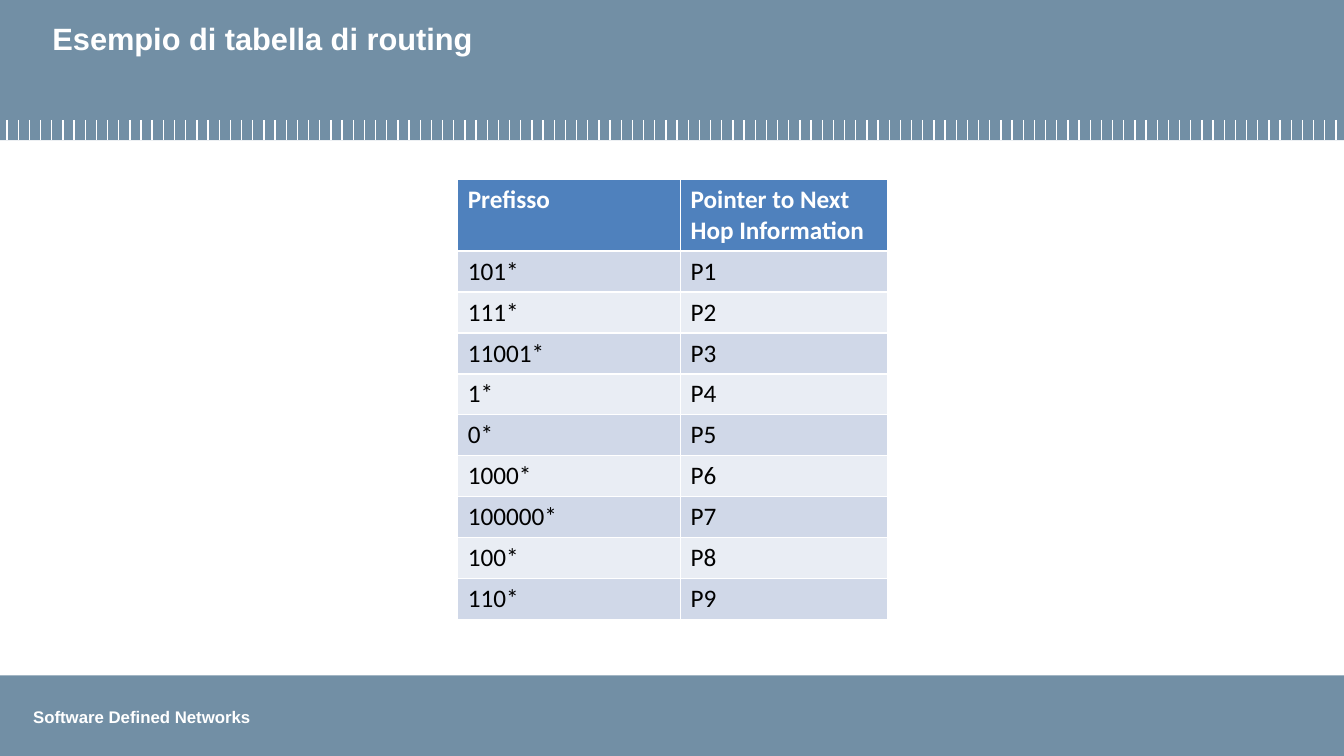
import pptx
import pptx.util
import pptx.dml.color
import pptx.enum.shapes
import pptx.enum.text
import pptx.oxml

Inches = pptx.util.Inches
RGBColor = pptx.dml.color.RGBColor

WHITE = RGBColor(0xFF, 0xFF, 0xFF)
BLACK = RGBColor(0x00, 0x00, 0x00)
SLATE = RGBColor(0x72, 0x8F, 0xA5)
BLUE = RGBColor(0x4F, 0x81, 0xBD)
DARK = RGBColor(0xD0, 0xD8, 0xE8)
LIGHT = RGBColor(0xE9, 0xED, 0xF4)


def write(frame, text, size=18, font="Calibri", color=WHITE, bold=True):
    frame.text = text
    para = frame.paragraphs[0]
    para.alignment = pptx.enum.text.PP_ALIGN.LEFT
    style = para.runs[0].font
    style.size = pptx.util.Pt(size)
    style.name = font
    style.color.rgb = color
    style.bold = bold


deck = pptx.Presentation()
deck.slide_width = Inches(13.33)
deck.slide_height = Inches(7.5)
slide = deck.slides.add_slide(deck.slide_layouts[5])
shapes = slide.shapes

# Header and footer bands
for top, height in ((0, 1.39), (6.7, 0.8)):
    band = shapes.add_shape(pptx.enum.shapes.MSO_SHAPE.RECTANGLE,
                            0, Inches(top), deck.slide_width, Inches(height))
    band.shadow.inherit = False
    band.fill.solid()
    band.fill.fore_color.rgb = SLATE
    band.line.fill.background()

footer = shapes.add_textbox(Inches(0.23), Inches(6.96), Inches(2.38), Inches(0.3))
footer.text_frame.word_wrap = False
write(footer.text_frame, "Software Defined Networks", size=12, font="Arial")

# Ruler ticks along the lower edge of the header
TICKS = 120
FIRST, LAST = 0.07, 13.25
for i in range(TICKS):
    x = Inches(FIRST + i * (LAST - FIRST) / (TICKS - 1))
    tick = shapes.add_connector(pptx.enum.shapes.MSO_CONNECTOR.STRAIGHT,
                                x, Inches(1.19), x, Inches(1.39))
    tick.line.color.rgb = WHITE
    tick.line.width = pptx.util.Pt(1)
    props = tick._element.spPr
    props.append(pptx.oxml.parse_xml(
        '<a:effectLst xmlns:a="http://schemas.openxmlformats.org/drawingml/2006/main"/>'))

# Title, brought in front of the header band
title = shapes.title
title.left, title.top = Inches(0.42), Inches(0.15)
title.width, title.height = Inches(12.51), Inches(0.92)
title.text_frame.vertical_anchor = pptx.enum.text.MSO_ANCHOR.TOP
title.text_frame.auto_size = pptx.enum.text.MSO_AUTO_SIZE.NONE
write(title.text_frame, "Esempio di tabella di routing", size=22, font="Arial")
shapes._spTree.append(title._element)

# Routing table; its default style draws the white borders
heads = ("Prefisso", "Pointer to Next Hop Information")
codes = ("101*", "111*", "11001*", "1*", "0*", "1000*", "100000*", "100*", "110*")
rows = [heads] + [(code, f"P{n}") for n, code in enumerate(codes, 1)]
table = shapes.add_table(len(rows), len(heads), Inches(4.54), Inches(1.78),
                         Inches(4.26), Inches(4.35)).table
table.columns[0].width = Inches(2.21)
table.columns[1].width = Inches(2.05)

for r, row in enumerate(rows):
    head = r == 0
    table.rows[r].height = Inches(0.69) if head else Inches(3.66 / len(codes))
    for c, text in enumerate(row):
        cell = table.cell(r, c)
        cell.fill.solid()
        cell.fill.fore_color.rgb = BLUE if head else DARK if r % 2 else LIGHT
        write(cell.text_frame, text, color=WHITE if head else BLACK, bold=head)

deck.save("out.pptx")
